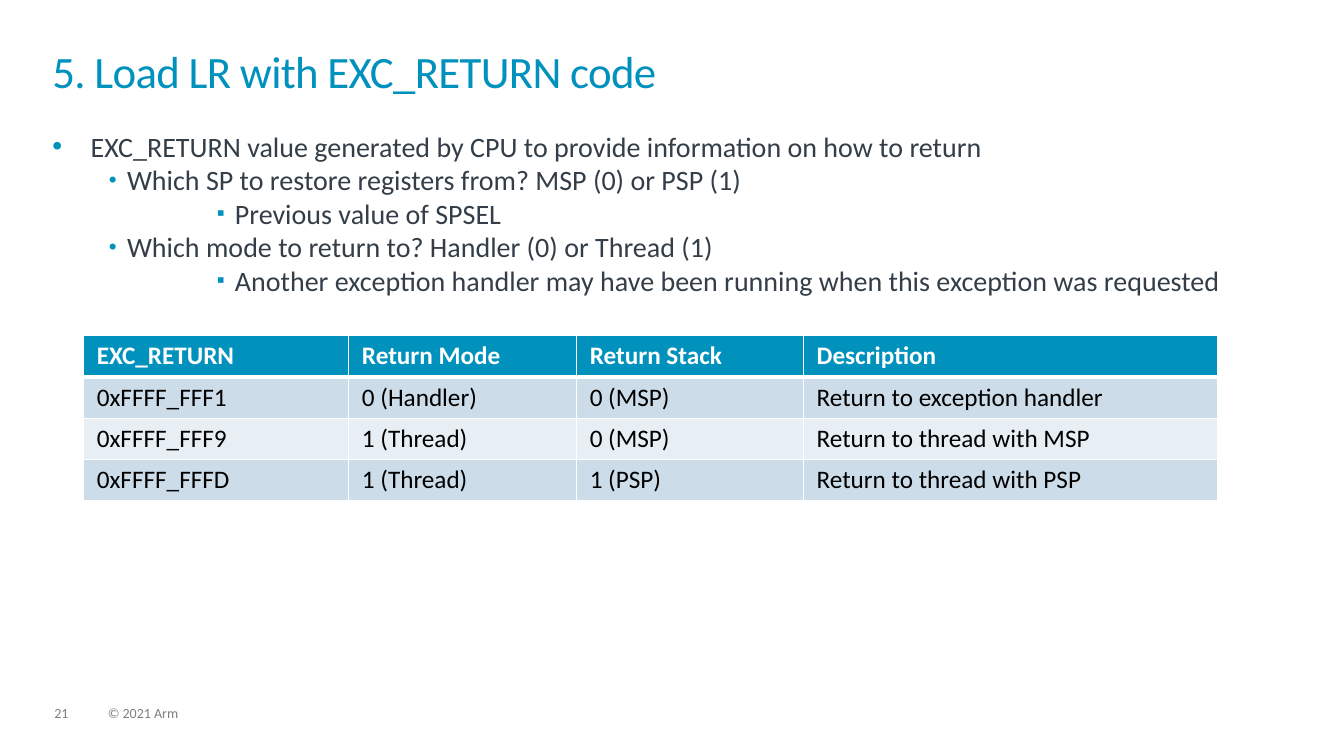
from dataclasses import dataclass

from lxml import etree
from pptx import Presentation
from pptx.dml.color import RGBColor
from pptx.enum.text import MSO_ANCHOR, MSO_AUTO_SIZE, PP_ALIGN
from pptx.oxml.ns import qn
from pptx.util import Inches, Pt

TOP = MSO_ANCHOR.TOP
LEFT = PP_ALIGN.LEFT
NO_FIT = MSO_AUTO_SIZE.NONE


@dataclass(frozen=True)
class Theme:
    font: str = "Calibri"
    accent: str = "0091BD"
    body: str = "333E48"
    footer: str = "7F7F7F"
    white: str = "FFFFFF"
    black: str = "000000"
    bands: tuple = ("CCDCE8", "E7EEF4")
    title_size: int = 32
    body_size: int = 20
    table_size: int = 18
    footer_size: int = 10


theme = Theme()


def style(p, size, color, bold=False):
    for r in p.runs:
        r.font.name = theme.font
        r.font.size = Pt(size)
        r.font.bold = bold
        r.font.color.rgb = RGBColor.from_string(color)


def set_frame(shape, left, top, width, height):
    shape.left, shape.top = Inches(left), Inches(top)
    shape.width, shape.height = Inches(width), Inches(height)
    tf = shape.text_frame
    tf.margin_left = tf.margin_top = tf.margin_right = tf.margin_bottom = 0
    tf.word_wrap = True
    tf.auto_size = NO_FIT
    tf.vertical_anchor = TOP
    return tf


prs = Presentation()
prs.slide_width, prs.slide_height = Inches(13.33), Inches(7.5)
s = prs.slides.add_slide(prs.slide_layouts[1])

tf = set_frame(s.shapes.title, 0.52, 0.52, 12.28, 0.72)
tf.text = "5. Load LR with EXC_RETURN code"
p = tf.paragraphs[0]
p.alignment = LEFT
p.line_spacing = 0.85
style(p, theme.title_size, theme.accent)
p.runs[0].font._element.set("spc", "-50")

levels = {
    0: (0.38, 0.38, "•", 100),
    1: (0.74, 0.18, "•", 80),
    5: (1.81, 0.18, "▪", 80),
}
bullets = [
    (0, "EXC_RETURN value generated by CPU to provide information on how to return"),
    (1, "Which SP to restore registers from? MSP (0) or PSP (1)"),
    (5, "Previous value of SPSEL"),
    (1, "Which mode to return to? Handler (0) or Thread (1)"),
    (5, "Another exception handler may have been running when this exception was requested"),
]
tf = set_frame(s.placeholders[1], 0.52, 1.28, 12.28, 5.41)
tf.text = "\n".join(text for level, text in bullets)
for p, (level, text) in zip(tf.paragraphs, bullets):
    margin, hanging, char, percent = levels[level]
    p.level = level
    p.alignment = LEFT
    p.line_spacing = 1.0
    p.space_before = p.space_after = Pt(0)
    pPr = p._p.get_or_add_pPr()
    pPr.set("marL", str(Inches(margin)))
    pPr.set("indent", str(-Inches(hanging)))
    color = etree.SubElement(pPr, qn("a:buClr"))
    etree.SubElement(color, qn("a:srgbClr"), val=theme.accent)
    etree.SubElement(pPr, qn("a:buSzPct"), val=str(percent * 1000))
    etree.SubElement(pPr, qn("a:buFont"), typeface="Arial")
    etree.SubElement(pPr, qn("a:buChar"), char=char)
    style(p, theme.body_size, theme.body)

rows = [
    ("EXC_RETURN", "Return Mode", "Return Stack", "Description"),
    ("0xFFFF_FFF1", "0 (Handler)", "0 (MSP)", "Return to exception handler"),
    ("0xFFFF_FFF9", "1 (Thread)", "0 (MSP)", "Return to thread with MSP"),
    ("0xFFFF_FFFD", "1 (Thread)", "1 (PSP)", "Return to thread with PSP"),
]
widths = (2.63, 2.26, 2.25, 4.11)
row_height = 0.41
table = s.shapes.add_table(
    len(rows), len(widths), Inches(0.83), Inches(3.33),
    Inches(sum(widths)), Inches(row_height * len(rows)),
).table
for column, width in zip(table.columns, widths):
    column.width = Inches(width)
for i, values in enumerate(rows):
    table.rows[i].height = Inches(row_height)
    header = i == 0
    fill = theme.accent if header else theme.bands[(i - 1) % 2]
    borders = {"L": 1, "R": 1, "T": 3 if i == 1 else 1, "B": 3 if header else 1}
    for j, value in enumerate(values):
        cell = table.cell(i, j)
        cell.text = value
        cell.margin_left = cell.margin_right = Inches(0.13)
        cell.margin_top = cell.margin_bottom = Inches(0.05)
        tcPr = cell._tc.get_or_add_tcPr()
        for side, weight in borders.items():
            ln = etree.SubElement(tcPr, qn(f"a:ln{side}"), w=str(Pt(weight)))
            solid = etree.SubElement(ln, qn("a:solidFill"))
            etree.SubElement(solid, qn("a:srgbClr"), val=theme.white)
        cell.fill.solid()
        cell.fill.fore_color.rgb = RGBColor.from_string(fill)
        style(cell.text_frame.paragraphs[0], theme.table_size,
              theme.white if header else theme.black, header)

for left, width, text in [(0.54, 0.34, "21"), (1.07, 5.07, "© 2021 Arm")]:
    tb = s.shapes.add_textbox(0, 0, 0, 0)
    tf = set_frame(tb, left, 7.01, width, 0.15)
    tf.text = text
    p = tf.paragraphs[0]
    p.line_spacing = 0.9
    style(p, theme.footer_size, theme.footer)

prs.save("out.pptx")
